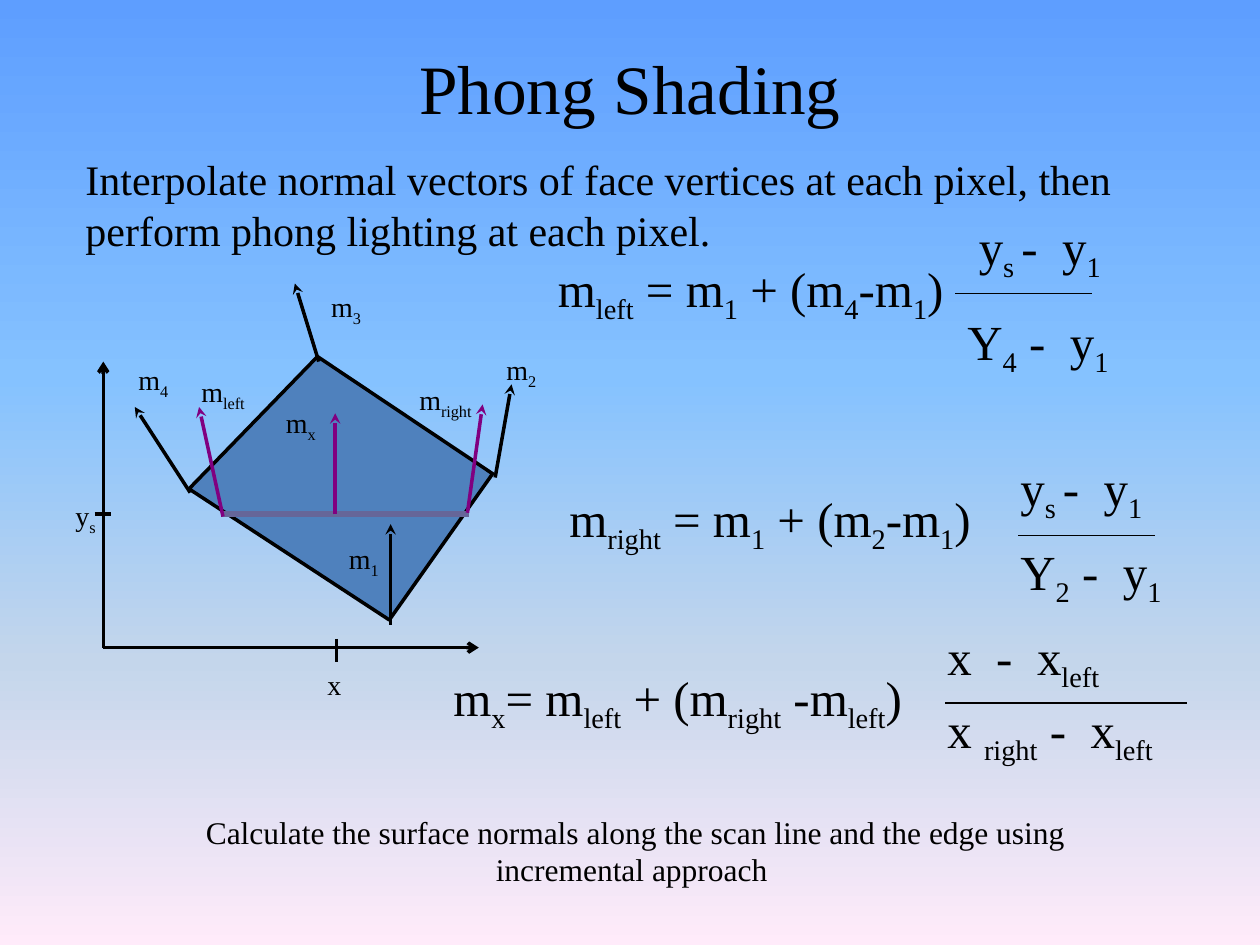
from lxml import etree
from pptx import Presentation, util as u
from pptx.dml.color import RGBColor
from pptx.enum import shapes, text
from pptx.oxml import parse_xml
from pptx.oxml.ns import nsdecls, qn

FONT = "Times New Roman"
BLACK, PURPLE, SLATE, BLUE = "000000", "800080", "666699", "4F81BD"
SKY = [(0, "5E9EFF"), (40, "85C2FF"), (70, "C4D6EB"), (100, "FFEBFA")]


def color(hex_value):
    return RGBColor.from_string(hex_value)


def add_text(parent, box, markup, size, align=text.PP_ALIGN.LEFT,
             anchor=text.MSO_ANCHOR.TOP):
    """Runs are split by |; a leading _ marks a subscript, ~ a wide space."""
    tf = parent.add_textbox(*map(u.Inches, box)).text_frame
    tf.word_wrap = True
    tf.vertical_anchor = anchor
    p = tf.paragraphs[0]
    p.alignment = align
    for piece in markup.split("|"):
        r = p.add_run()
        r.text = piece.lstrip("_~")
        r.font.name, r.font.size = FONT, u.Pt(size)
        r.font.color.rgb = color(BLACK)
        if piece.startswith("_"):
            r.font._element.set("baseline", "-25000")
        elif piece.startswith("~"):
            r.font._element.set("spc", str(size * 25))


def add_line(parent, start, end, hex_value=BLACK, width=2, arrow=None):
    line = parent.add_connector(shapes.MSO_CONNECTOR.STRAIGHT,
                                *map(u.Inches, (*start, *end)))
    line.line.color.rgb = color(hex_value)
    line.line.width = u.Pt(width)
    if arrow:
        etree.SubElement(line.line._get_or_add_ln(), qn("a:tailEnd"), type=arrow)
    etree.SubElement(line._element.spPr, qn("a:effectLst"))


def paint_background(s):
    fill = s.background.fill
    fill.gradient()
    fill.gradient_angle = 270
    stops = s._element.find(".//" + qn("a:gsLst"))
    for stop in list(stops):
        stops.remove(stop)
    for pos, hex_value in SKY:
        stops.append(parse_xml(
            f'<a:gs {nsdecls("a")} pos="{pos * 1000}">'
            f'<a:srgbClr val="{hex_value}"/></a:gs>'))


def add_figure(s, left, top):
    """Face with vertex and scan-line normals, on x and y axes."""
    parent = s.shapes.add_group_shape().shapes

    def at(x, y):
        return left + x, top + y

    # Axes
    origin = at(0.32, 2.89)
    for tip in (at(0.32, 0.62), at(3.3, 2.89)):
        add_line(parent, origin, tip, arrow="arrow")

    # Face
    corners = [tuple(map(u.Inches, at(*c))) for c in
               ((1, 1.63), (2.02, 0.58), (3.41, 1.51), (2.59, 2.67))]
    builder = parent.build_freeform(*corners[0], scale=1.0)
    builder.add_line_segments(corners[1:], close=True)
    face = builder.convert_to_shape()
    face.shadow.inherit = False
    face.fill.solid()
    face.fill.fore_color.rgb = color(BLUE)
    face.line.color.rgb = color(BLACK)
    face.line.width = u.Pt(2)

    # Scan line and axis ticks
    add_line(parent, at(1.26, 1.83), at(3.22, 1.83), SLATE, 3)
    add_line(parent, at(2.17, 2.82), at(2.17, 3), BLACK)
    add_line(parent, at(0.25, 1.83), at(0.38, 1.83), BLACK)

    # Normals: start, tip, colour
    for start, tip, hex_value in (
            ((1.01, 1.66), (0.57, 0.98), BLACK),
            ((2.03, 0.62), (1.84, 0), BLACK),
            ((3.43, 1.54), (3.56, 0.8), BLACK),
            ((2.6, 2.71), (2.6, 1.91), BLACK),
            ((1.27, 1.85), (1.08, 0.98), PURPLE),
            ((3.21, 1.82), (3.33, 0.96), PURPLE),
            ((2.16, 1.83), (2.16, 1.03), PURPLE)):
        add_line(parent, at(*start), at(*tip), hex_value, arrow="stealth")

    # Labels: position, width, wording
    for x, y, width, label in (
            (0, 1.66, 0.44, "y|_s"), (2.17, 2, 1, "m|_1"),
            (3.42, 0.5, 0.71, "m|_2"), (2.03, 0, 0.88, "m|_3"),
            (0.5, 0.58, 0.74, "m|_4"), (1, 0.67, 0.75, "m|_left"),
            (2.73, 0.74, 0.93, "m|_right"), (1.67, 0.92, 0.68, "m|_x"),
            (2, 3, 0.75, "x")):
        add_text(parent, (*at(x, y), width, 0.37), label, 16)


def add_equation(s, box, formula, bar, numerator, denominator):
    """Formula in its box, then a fraction; all offsets are from the box."""
    left, top = box[:2]
    add_text(s.shapes, box, formula, 28)
    x, y, length = bar
    add_line(s.shapes, (left + x, top + y), (left + x + length, top + y), width=0.75)
    for (dx, dy, width, height), markup in (numerator, denominator):
        add_text(s.shapes, (left + dx, top + dy, width, height), markup, 28)


def main():
    prs = Presentation()
    prs.slide_width, prs.slide_height = u.Inches(10), u.Inches(7.5)
    s = prs.slides.add_slide(prs.slide_layouts[6])
    paint_background(s)
    center, middle = text.PP_ALIGN.CENTER, text.MSO_ANCHOR.MIDDLE

    # Title and introduction
    add_text(s.shapes, (0.5, 0.3, 9, 0.78), "Phong Shading", 39.6, center, middle)
    add_text(s.shapes, (0.58, 1.17, 8.67, 0.91),
             "Interpolate normal vectors of face vertices at each pixel, "
             "then perform phong lighting at each pixel.", 24)

    add_figure(s, 0.5, 2.25)

    # Interpolation equations
    scan_rise = "y|_s |-|~ |y|_1"
    add_equation(s, (4.33, 2, 3.5, 0.57), "m|_left| = m|_1| + (m|_4|-m|_1|)",
                 (3.25, 0.33, 1.09),
                 ((3.34, -0.33, 1.33, 0.57), scan_rise),
                 ((3.25, 0.42, 1.33, 1.04), "Y|_4| -|~ |y|_1"))
    add_equation(s, (4.42, 3.83, 3.75, 0.57), "m|_right| = m|_1| + (m|_2|-m|_1|)",
                 (3.66, 0.42, 1.09),
                 ((3.58, -0.25, 1.33, 0.57), scan_rise),
                 ((3.58, 0.42, 1.33, 1.04), "Y|_2| -|~ |y|_1"))
    add_equation(s, (3.5, 5.25, 3.92, 1.04),
                 "m|_x|= m|_left| + (m|_right| -m|_left|)",
                 (4, 0.33, 1.92),
                 ((3.92, -0.33, 2.17, 0.58), "x|~ |-|~ |x|_left"),
                 ((3.92, 0.25, 2.25, 0.57), "x |_right| -|~ |x|_left"))

    # Closing remark
    add_text(s.shapes, (1.42, 6.25, 7.25, 1),
             "Calculate the surface normals along the scan line and the edge "
             "using incremental approach ", 18, center, middle)
    prs.save("out.pptx")


if __name__ == "__main__":
    main()
